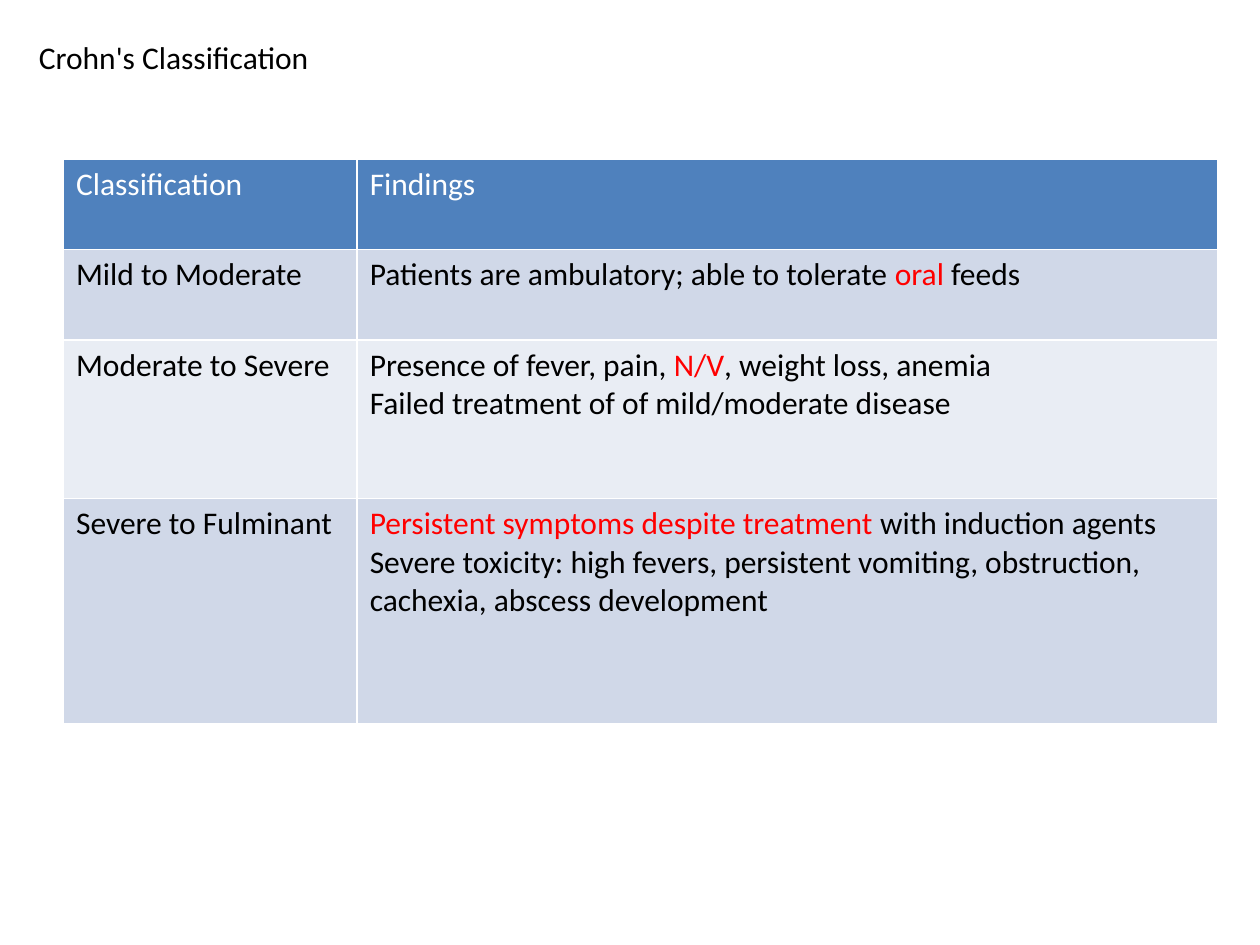
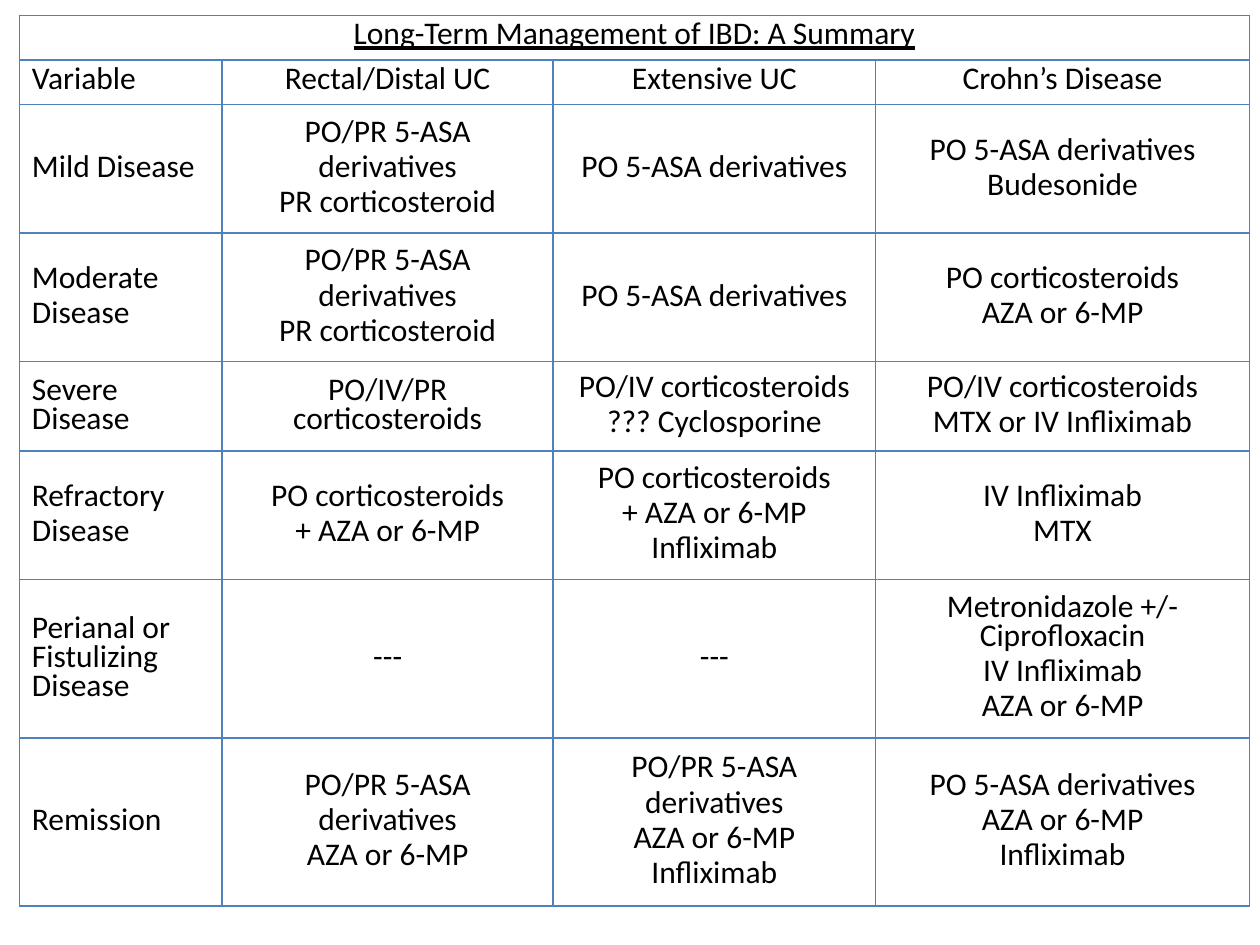
from dataclasses import dataclass
from typing import Optional

from lxml.etree import SubElement
from pptx import Presentation
from pptx.dml.color import RGBColor
from pptx.enum.text import MSO_ANCHOR, MSO_AUTO_SIZE, PP_ALIGN
from pptx.oxml.ns import qn
from pptx.util import Cm, Pt

FONT = "Calibri"
COLORS = {
    "text": "000000", "accent": "FF0000", "white": "FFFFFF",
    "blue": "4F81BD", "band": "D0D8E8", "light": "E9EDF4",
}
TITLE_ONLY, BLANK = 5, 6


@dataclass(frozen=True)
class Grid:
    """A table's place, sizes in centimetres, text and border colour."""
    left: float
    top: float
    widths: tuple[float, ...]
    heights: tuple[float, ...]
    rows: tuple[tuple[str, ...], ...]
    border: str


CROHNS = Grid(
    1.28, 3.21, (5.92, 17.35), (1.82, 1.82, 3.2, 4.54),
    (
        ("Classification", "Findings"),
        ("Mild to Moderate", "Patients are ambulatory; able to tolerate |oral| feeds"),
        ("Moderate to Severe",
         "Presence of fever, pain, |N/V|, weight loss, anemia\n"
         "Failed treatment of of mild/moderate disease"),
        ("Severe to Fulminant",
         "|Persistent symptoms despite treatment |with induction agents\n"
         "Severe toxicity: high fevers, persistent vomiting, obstruction, "
         "cachexia, abscess development"),
    ),
    "white",
)

PO_ASA = "PO 5-ASA derivatives"
PO_PR_ASA = "PO/PR 5-ASA\nderivatives"
AZA = "AZA or 6-MP"
PO_STEROIDS = "PO corticosteroids"
IV_STEROIDS = "PO/IV corticosteroids"

MANAGEMENT = Grid(
    0.39, 0.31, (4.09, 6.67, 6.5, 7.54),
    (0.9, 0.9, 2.59, 2.59, 1.8, 2.59, 3.2, 3.38),
    (
        ("Long-Term Management of IBD: A Summary", "", "", ""),
        ("Variable", "Rectal/Distal UC", "Extensive UC", "Crohn’s Disease"),
        ("Mild Disease", f"{PO_PR_ASA}\nPR corticosteroid", PO_ASA, f"{PO_ASA}\nBudesonide"),
        ("Moderate\nDisease", f"{PO_PR_ASA}\nPR corticosteroid", PO_ASA,
         f"{PO_STEROIDS}\n{AZA}"),
        ("Severe Disease", "PO/IV/PR corticosteroids",
         f"{IV_STEROIDS}\n??? Cyclosporine", f"{IV_STEROIDS}\nMTX or IV Infliximab"),
        ("Refractory\nDisease", f"{PO_STEROIDS}\n+ {AZA}",
         f"{PO_STEROIDS}\n+ {AZA}\nInfliximab", "IV Infliximab\nMTX"),
        ("Perianal or Fistulizing Disease", "---", "---",
         f"Metronidazole +/- Ciprofloxacin\nIV Infliximab\n{AZA}"),
        ("Remission", f"{PO_PR_ASA}\n{AZA}", f"{PO_PR_ASA}\n{AZA}\nInfliximab",
         f"{PO_ASA}\n{AZA}\nInfliximab"),
    ),
    "blue",
)


def color(name: str) -> RGBColor:
    """Look up a named colour."""
    return RGBColor.from_string(COLORS[name])


def write(tf, text: str, *, fill: str = "text", align=PP_ALIGN.LEFT,
          spacing: float = 1.0, before: float = 0, underline: bool = False) -> None:
    """Write one paragraph a line, with the parts between bars in the accent colour."""
    for i, line in enumerate(text.split("\n")):
        p = tf.paragraphs[0] if i == 0 else tf.add_paragraph()
        p.alignment, p.line_spacing = align, spacing
        p.space_before = Pt(before if i else 0)
        for j, part in enumerate(line.split("|")):
            if not part:
                continue
            r = p.add_run()
            r.text = part
            r.font.name, r.font.size = FONT, Pt(18)
            r.font.underline = underline
            r.font.color.rgb = color("accent" if j % 2 else fill)


def draw_border(cell, name: str) -> None:
    """Give a cell one-point lines on all four sides."""
    props = cell._tc.get_or_add_tcPr()
    for side in ("lnL", "lnR", "lnT", "lnB"):
        line = SubElement(props, qn(f"a:{side}"), w=str(Pt(1)))
        SubElement(SubElement(line, qn("a:solidFill")), qn("a:srgbClr"), val=COLORS[name])


def fill_cell(cell, name: Optional[str]) -> None:
    """Fill a cell with a named colour, or leave it clear."""
    if name is None:
        cell.fill.background()
    else:
        cell.fill.solid()
        cell.fill.fore_color.rgb = color(name)


def add_grid(s, grid: Grid):
    """Add an unstyled table with its sizes and borders."""
    table = s.shapes.add_table(
        len(grid.heights), len(grid.widths), Cm(grid.left), Cm(grid.top),
        Cm(sum(grid.widths)), Cm(sum(grid.heights))).table
    table.first_row = table.horz_banding = False
    for column, width in zip(table.columns, grid.widths):
        column.width = Cm(width)
    for row, height in zip(table.rows, grid.heights):
        row.height = Cm(height)
    for cell in table.iter_cells():
        draw_border(cell, grid.border)
    return table


def add_classification(prs) -> None:
    """Build the slide that classifies Crohn's disease."""
    s = prs.slides.add_slide(prs.slide_layouts[TITLE_ONLY])
    table = add_grid(s, CROHNS)
    for i, row in enumerate(CROHNS.rows):
        for j, text in enumerate(row):
            cell = table.cell(i, j)
            fill_cell(cell, "blue" if i == 0 else "band" if i % 2 else "light")
            write(cell.text_frame, text, fill="white" if i == 0 else "text")
    title = s.shapes.title
    title.left, title.top, title.width, title.height = Cm(0.53), Cm(0.63), Cm(6.02), Cm(1.03)
    tf = title.text_frame
    tf.word_wrap, tf.auto_size = False, MSO_AUTO_SIZE.SHAPE_TO_FIT_TEXT
    tf.vertical_anchor = MSO_ANCHOR.TOP
    write(tf, "Crohn's Classification")


def add_management(prs) -> None:
    """Build the slide that sums up long-term management."""
    s = prs.slides.add_slide(prs.slide_layouts[BLANK])
    table = add_grid(s, MANAGEMENT)
    table.cell(0, 0).merge(table.cell(0, len(MANAGEMENT.widths) - 1))
    for i, row in enumerate(MANAGEMENT.rows):
        for j, text in enumerate(row):
            cell = table.cell(i, j)
            fill_cell(cell, None)
            cell.vertical_anchor = MSO_ANCHOR.TOP if i < 2 else MSO_ANCHOR.MIDDLE
            if text:
                write(cell.text_frame, text, spacing=0.75, before=3.6, underline=i == 0,
                      align=PP_ALIGN.LEFT if i and j == 0 else PP_ALIGN.CENTER)


def main() -> None:
    """Build and save the presentation."""
    prs = Presentation()
    prs.slide_width, prs.slide_height = Cm(25.4), Cm(19.05)
    add_classification(prs)
    add_management(prs)
    prs.save("out.pptx")


if __name__ == "__main__":
    main()
